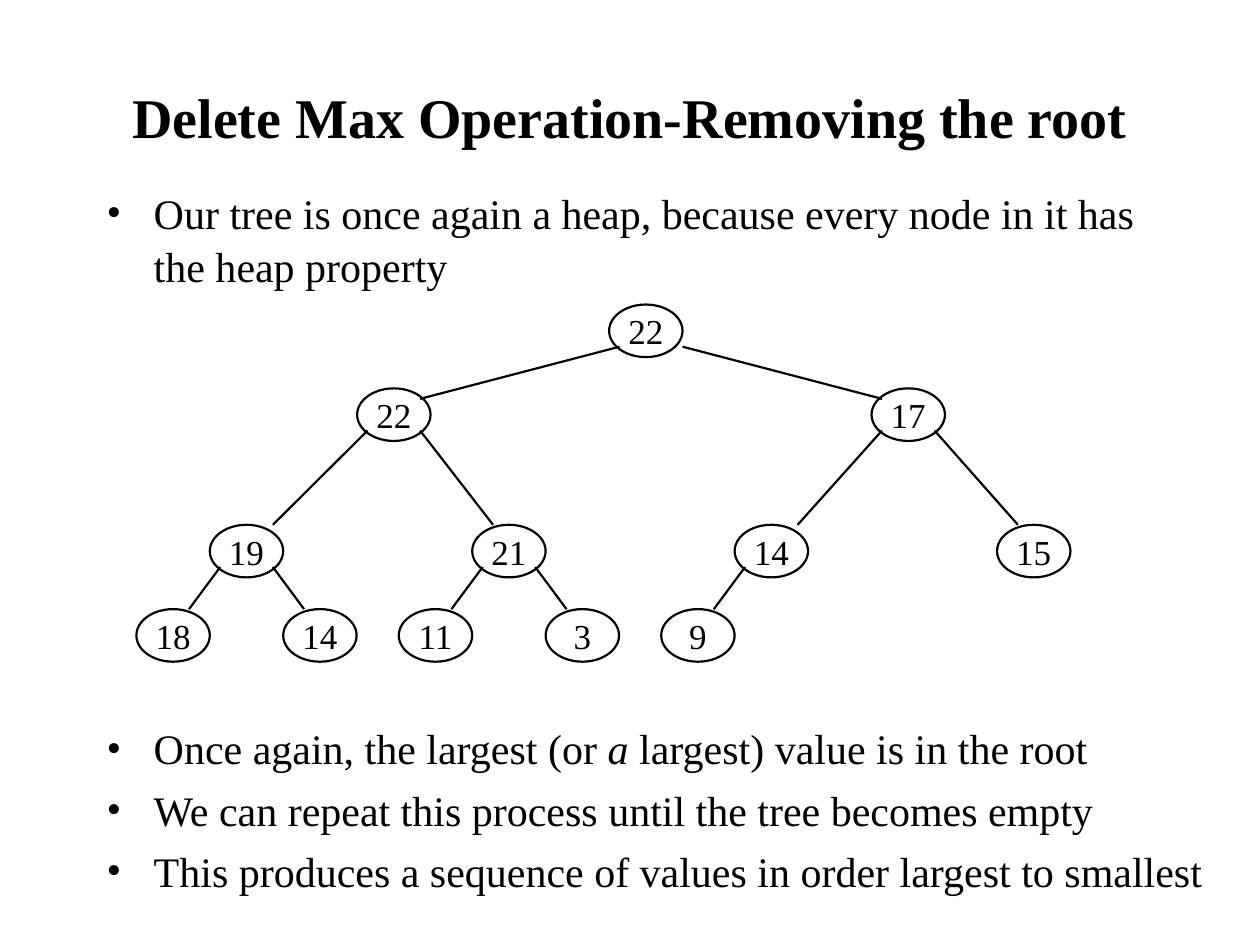
import dataclasses
import typing

import lxml.etree
import pptx
import pptx.dml.color
import pptx.enum.shapes
import pptx.enum.text
import pptx.oxml.ns
import pptx.util

Cm = pptx.util.Cm
Pt = pptx.util.Pt
qn = pptx.oxml.ns.qn


@dataclasses.dataclass(frozen=True)
class Theme:
    font: str = "Times New Roman"
    ink: pptx.dml.color.RGBColor = pptx.dml.color.RGBColor(0, 0, 0)
    title: float = 32
    body: float = 24
    node: float = 20
    line: float = 1.25


@dataclasses.dataclass(frozen=True)
class Level:
    """One row of the tree, with where edges meet its nodes (cm)."""
    top: float
    lefts: tuple[float, ...]
    drop: float = 0  # depth below the node's top at which an edge ends
    left_inset: float = 0.42  # from the right side of a left child
    right_inset: float = 0.42  # from the left side of a right child


@dataclasses.dataclass(frozen=True)
class Node:
    value: int
    left: float
    level: Level


class Segment(typing.NamedTuple):
    text: str
    italic: bool = False


THEME = Theme()
NODE_W, NODE_H = 1.48, 1.06
EXIT_INSET, EXIT_DROP = 0.21, 0.85

# Heap in array order: the children of i are 2i + 1 and 2i + 2
HEAP = (22, 22, 17, 19, 21, 14, 15, 18, 14, 11, 3, 9)
INNER_LEFTS = tuple(4.23 + 5.29 * i for i in range(4))
LEAF_LEFTS = tuple(x + d for x in INNER_LEFTS for d in (-NODE_W, NODE_W))
LEVELS = (
    Level(6.14, (12.28,)),
    Level(7.83, (7.2, 17.57), drop=0.21, left_inset=0.21, right_inset=0.21),
    Level(10.58, INNER_LEFTS, left_inset=0.21),
    Level(12.28, LEAF_LEFTS),
)

INTRO = (
    (Segment("Our tree is once again a heap, because every node in it has "
             "the heap property"),),
)
CONCLUSIONS = (
    (Segment("Once again, the largest (or"), Segment(" a", True),
     Segment(" largest) value is in the root")),
    (Segment("We can repeat this process until the tree becomes empty"),),
    (Segment("This produces a sequence of values in order largest to smallest"),),
)


def style_font(font, size: float, bold: bool = False, italic: bool = False) -> None:
    font.name = THEME.font
    font.size = Pt(size)
    font.bold = bold
    font.italic = italic
    font.color.rgb = THEME.ink


def add_title(s, text: str) -> None:
    sp = s.shapes.title
    sp.left, sp.top, sp.width, sp.height = Cm(1.27), Cm(0.76), Cm(22.86), Cm(3.18)
    tf = sp.text_frame
    tf.text = text
    tf.vertical_anchor = pptx.enum.text.MSO_ANCHOR.MIDDLE
    p = tf.paragraphs[0]
    p.alignment = pptx.enum.text.PP_ALIGN.CENTER
    style_font(p.runs[0].font, THEME.title, bold=True)


def add_bullets(s, top: float, width: float, height: float,
                items: tuple[tuple[Segment, ...], ...]) -> None:
    tf = s.shapes.add_textbox(Cm(1.9), Cm(top), Cm(width), Cm(height)).text_frame
    tf.word_wrap = True
    for i, segments in enumerate(items):
        p = tf.add_paragraph() if i else tf.paragraphs[0]
        pPr = p._p.get_or_add_pPr()
        pPr.set("marL", str(Cm(0.95)))
        pPr.set("indent", str(-Cm(0.95)))
        lxml.etree.SubElement(pPr, qn("a:buFont"), typeface=THEME.font)
        lxml.etree.SubElement(pPr, qn("a:buChar"), char="•")
        p.line_spacing = 1.05
        p.space_before = Pt(4.8 if i else 0)
        for segment in segments:
            r = p.add_run()
            r.text = segment.text
            style_font(r.font, THEME.body, italic=segment.italic)


def place_nodes() -> list[Node]:
    slots = [(x, level) for level in LEVELS for x in level.lefts]
    return [Node(value, x, level) for value, (x, level) in zip(HEAP, slots)]


def add_node(s, node: Node) -> None:
    sp = s.shapes.add_shape(pptx.enum.shapes.MSO_SHAPE.OVAL, Cm(node.left),
                            Cm(node.level.top), Cm(NODE_W), Cm(NODE_H))
    sp.shadow.inherit = False
    sp.fill.background()
    sp.line.color.rgb = THEME.ink
    sp.line.width = Pt(THEME.line)
    tf = sp.text_frame
    tf.text = str(node.value)
    tf.word_wrap = False
    tf.vertical_anchor = pptx.enum.text.MSO_ANCHOR.MIDDLE
    p = tf.paragraphs[0]
    p.alignment = pptx.enum.text.PP_ALIGN.CENTER
    style_font(p.runs[0].font, THEME.node)


def add_edge(s, parent: Node, child: Node, is_left: bool) -> None:
    if is_left:
        x1 = parent.left + EXIT_INSET
        x2 = child.left + NODE_W - child.level.left_inset
    else:
        # The root's right edge starts at its full width
        inset = 0 if parent.level is LEVELS[0] else EXIT_INSET
        x1 = parent.left + NODE_W - inset
        x2 = child.left + child.level.right_inset
    y1 = parent.level.top + EXIT_DROP
    y2 = child.level.top + child.level.drop
    line = s.shapes.add_connector(pptx.enum.shapes.MSO_CONNECTOR.STRAIGHT,
                                  Cm(x1), Cm(y1), Cm(x2), Cm(y2))
    line.line.color.rgb = THEME.ink
    line.line.width = Pt(THEME.line)
    lxml.etree.SubElement(line._element.spPr, qn("a:effectLst"))


def main() -> None:
    prs = pptx.Presentation()
    prs.slide_width, prs.slide_height = Cm(25.4), Cm(19.05)
    s = prs.slides.add_slide(prs.slide_layouts[5])

    # Title and text
    add_title(s, "Delete Max Operation-Removing the root")
    add_bullets(s, 3.61, 21.59, 2.74, INTRO)
    add_bullets(s, 14.4, 23.06, 4.01, CONCLUSIONS)

    # Heap tree
    nodes = place_nodes()
    for i, node in enumerate(nodes):
        add_node(s, node)
        if i:
            add_edge(s, nodes[(i - 1) // 2], node, is_left=i % 2 == 1)

    prs.save("out.pptx")


if __name__ == "__main__":
    main()
